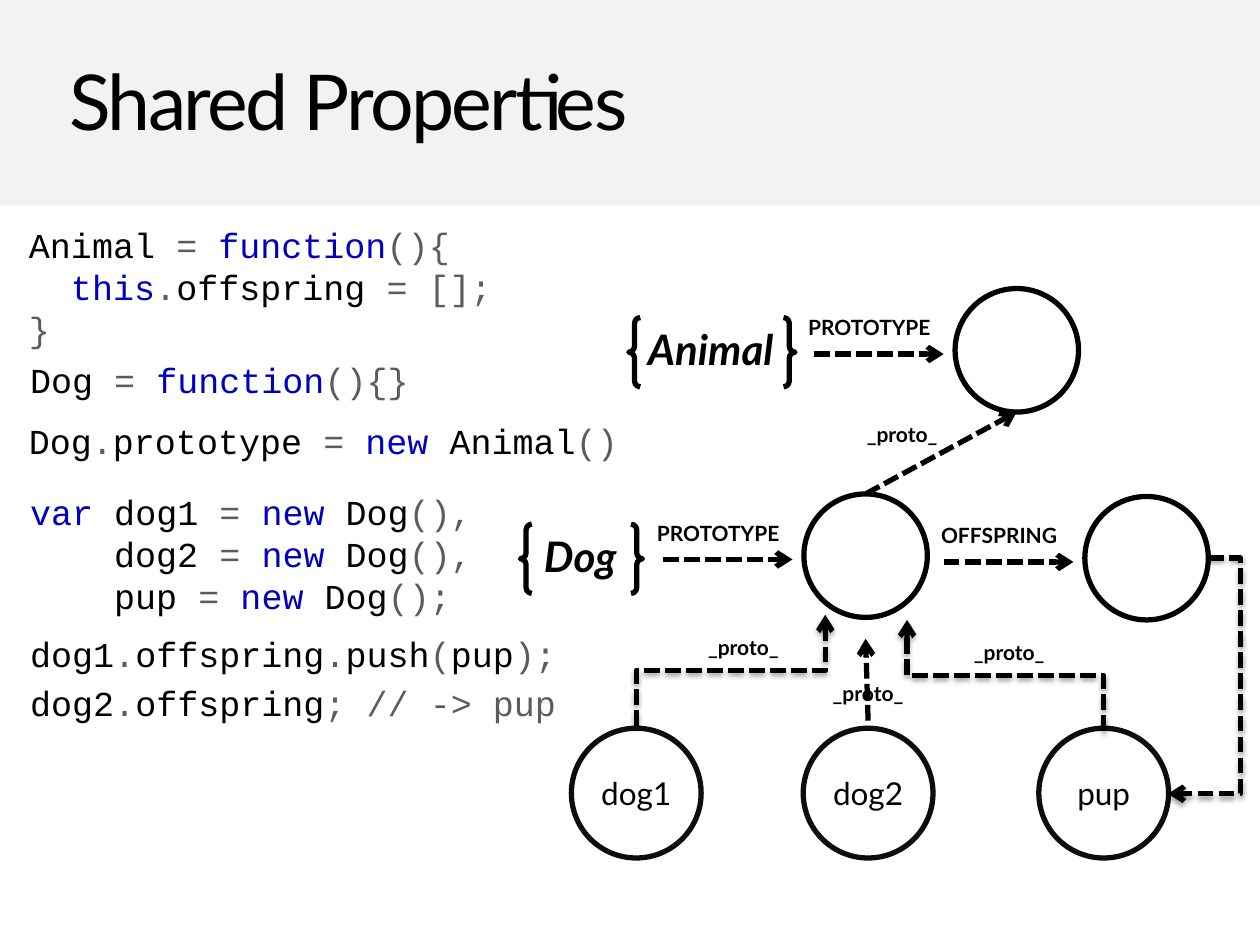
from lxml.etree import SubElement
from pptx import Presentation
from pptx.dml.color import RGBColor
from pptx.enum.dml import MSO_LINE
from pptx.enum.shapes import MSO_CONNECTOR, MSO_SHAPE
from pptx.enum.text import MSO_AUTO_SIZE, PP_ALIGN
from pptx.oxml.ns import qn
from pptx.util import Inches, Pt

THEME = dict(
    font="Lato", mono="Courier New", ink="000000", ring="0D0D0D", band="F2F2F2",
    keyword="0000C0", symbol="5C5C5C",
    title=44, name=24, code=20, leaf=18, label=12, line=3,
)
W, H = 10, 7.5
MARKS = {"@": "keyword", "~": "symbol"}

CODE = [
    (0.14, 1.73, 3.93, 1.02, ["Animal |~= |@function|~(){", "@  this|~.|offspring |~= [];", "~}"]),
    (0.14, 2.8, 3.23, 0.44, ["Dog |~= |@function|~(){}"]),
    (0.13, 3.28, 4.91, 0.44, ["Dog|~.|prototype |~= |@new |Animal|~()"]),
    (0.14, 3.84, 4.92, 1.11, ["@var |dog1 |~= |@new |Dog|~(),",
                              "    dog2 |~= |@new |Dog|~(),",
                              "    pup |~= |@new |Dog|~();"]),
    (0.14, 4.97, 4.41, 0.44, ["dog1|~.|offspring|~.|push|~(|pup|~);"]),
    (0.14, 5.36, 4.41, 0.44, ["dog2|~.|offspring|~; // -> pup"]),
]
CONSTRUCTORS = [("Animal", 4.99, 2.52, 1.32), ("Dog", 4.13, 4.16, 0.97)]
OBJECTS = [("PROTOTYPE", 7.58, 2.29), ("PROTOTYPE", 6.38, 3.92), ("OFFSPRING", 8.61, 3.94)]
LEAVES = [("dog1", 5.05), ("dog2", 6.89), ("pup", 8.76)]
PROTO_LABELS = [(5.9, 4.99), (8.01, 5.03), (6.89, 5.35), (7.16, 3.3)]
PROTO_LINES = [((6.89, 5.72), (6.87, 5.07)), ((6.87, 3.92), (8.07, 3.27))]
PROTO_ELBOWS = [((5.05, 5.76), (6.55, 4.88)), ((8.76, 5.8), (7.2, 4.92))]
OBJECT_D, LEAF_D, LEAF_TOP = 0.98, 1.03, 5.78

prs = Presentation()
prs.slide_width, prs.slide_height = Inches(W), Inches(H)
s = prs.slides.add_slide(prs.slide_layouts[6])


def color(key):
    return RGBColor.from_string(THEME[key])


def add_text(x, y, w, h, lines, size, font="font", bold=False, italic=False,
             align=PP_ALIGN.CENTER, wrap=False, inset=None):
    tf = s.shapes.add_textbox(*map(Inches, (x, y, w, h))).text_frame
    tf.word_wrap = wrap
    if inset:
        tf.margin_left = tf.margin_right = Inches(inset[0])
        tf.margin_top = tf.margin_bottom = Inches(inset[1])
    else:
        tf.auto_size = MSO_AUTO_SIZE.SHAPE_TO_FIT_TEXT
    for i, line in enumerate(lines):
        p = tf.add_paragraph() if i else tf.paragraphs[0]
        p.alignment = align
        for part in line.split("|"):
            r = p.add_run()
            r.text = part.lstrip("@~")
            r.font.name, r.font.size = THEME[font], Pt(THEME[size])
            r.font.bold, r.font.italic = bold, italic
            r.font.color.rgb = color(MARKS.get(part[0], "ink"))
    return tf


def add_label(cx, y, text, w=0.76):
    add_text(cx - w / 2, y, w, 0.3, [text], "label", bold=True)


def add_shape(kind, x, y, w, h, fill=None, line=None):
    sp = s.shapes.add_shape(kind, *map(Inches, (x, y, w, h)))
    sp.shadow.inherit = False
    if fill:
        sp.fill.solid()
        sp.fill.fore_color.rgb = color(fill)
    else:
        sp.fill.background()
    if line:
        sp.line.color.rgb, sp.line.width = color(line), Pt(THEME["line"])
    else:
        sp.line.fill.background()


def add_arrow(start, end, kind=MSO_CONNECTOR.STRAIGHT, shadow=False):
    c = s.shapes.add_connector(kind, *map(Inches, (*start, *end)))
    c.line.color.rgb, c.line.width = color("ink"), Pt(THEME["line"])
    c.line.dash_style = MSO_LINE.SQUARE_DOT
    sppr = c._element.spPr
    SubElement(sppr.find(qn("a:ln")), qn("a:tailEnd"), type="arrow")
    effects = SubElement(sppr, qn("a:effectLst"))
    if shadow:
        shade = SubElement(effects, qn("a:outerShdw"), blurRad="40000", dist="20000",
                           dir="5400000", rotWithShape="0")
        rgb = SubElement(shade, qn("a:srgbClr"), val=THEME["ink"])
        SubElement(rgb, qn("a:alpha"), val="38000")
    return sppr


def add_upright_elbow(start, end):
    cx, cy = ((a + b) / 2 for a, b in zip(start, end))
    turned = [(cx + y - cy, cy - x + cx) for x, y in (start, end)]
    sppr = add_arrow(*turned, MSO_CONNECTOR.ELBOW, shadow=True)
    sppr.find(qn("a:xfrm")).set("rot", "5400000")


add_shape(MSO_SHAPE.RECTANGLE, 0, 0, W, 1.63, fill="band")
tf = add_text(0.46, 0.38, 9.15, 0.83, ["Shared Properties"], "title",
              align=PP_ALIGN.LEFT, inset=(0.09, 0.04))
p = tf.paragraphs[0]
p.line_spacing = 1.01
p.runs[0].font._element.set("spc", "-150")

for i, (x, y, w, h, lines) in enumerate(CODE):
    add_text(x, y, w, h, lines, "code", "mono", align=PP_ALIGN.LEFT,
             wrap=len(lines) > 1, inset=None if i else (0.09, 0.04))

for name, x, y, w in CONSTRUCTORS:
    add_shape(MSO_SHAPE.DOUBLE_BRACE, x, y, w, 0.55, line="ink")
    add_text(x - 0.01, y, w, 0.5, [name], "name", bold=True, italic=True, wrap=True)

for label, x, y in OBJECTS:
    add_shape(MSO_SHAPE.OVAL, x, y, OBJECT_D, OBJECT_D, line="ink")
    add_arrow((x - 1.12, y + 0.52), (x - 0.09, y + 0.52))
    add_label(x - 0.68, y + 0.16, label, 1.17)

for name, cx in LEAVES:
    add_shape(MSO_SHAPE.OVAL, cx - LEAF_D / 2, LEAF_TOP, LEAF_D, LEAF_D, line="ring")
    add_text(cx - 0.38, LEAF_TOP + 0.31, 0.76, 0.4, [name], "leaf")

for start, end in PROTO_LINES:
    add_arrow(start, end)
for start, end in PROTO_ELBOWS:
    add_upright_elbow(start, end)
sppr = add_arrow((9.59, 4.43), (9.27, 6.3), MSO_CONNECTOR.ELBOW, shadow=True)
guides = sppr.find(qn("a:prstGeom")).get_or_add_avLst()
SubElement(guides, qn("a:gd"), name="adj1", fmla="val -79100")
for cx, y in PROTO_LABELS:
    add_label(cx, y, "_proto_")

prs.save("out.pptx")
